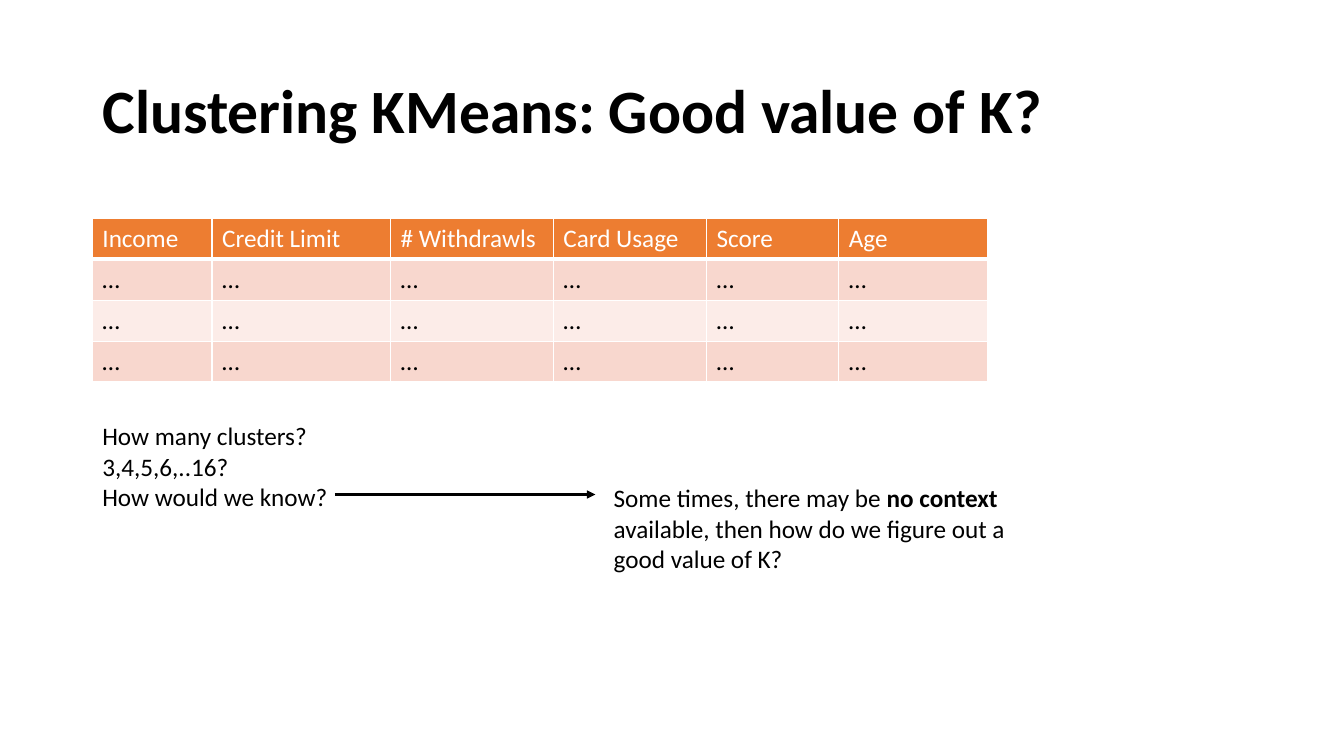
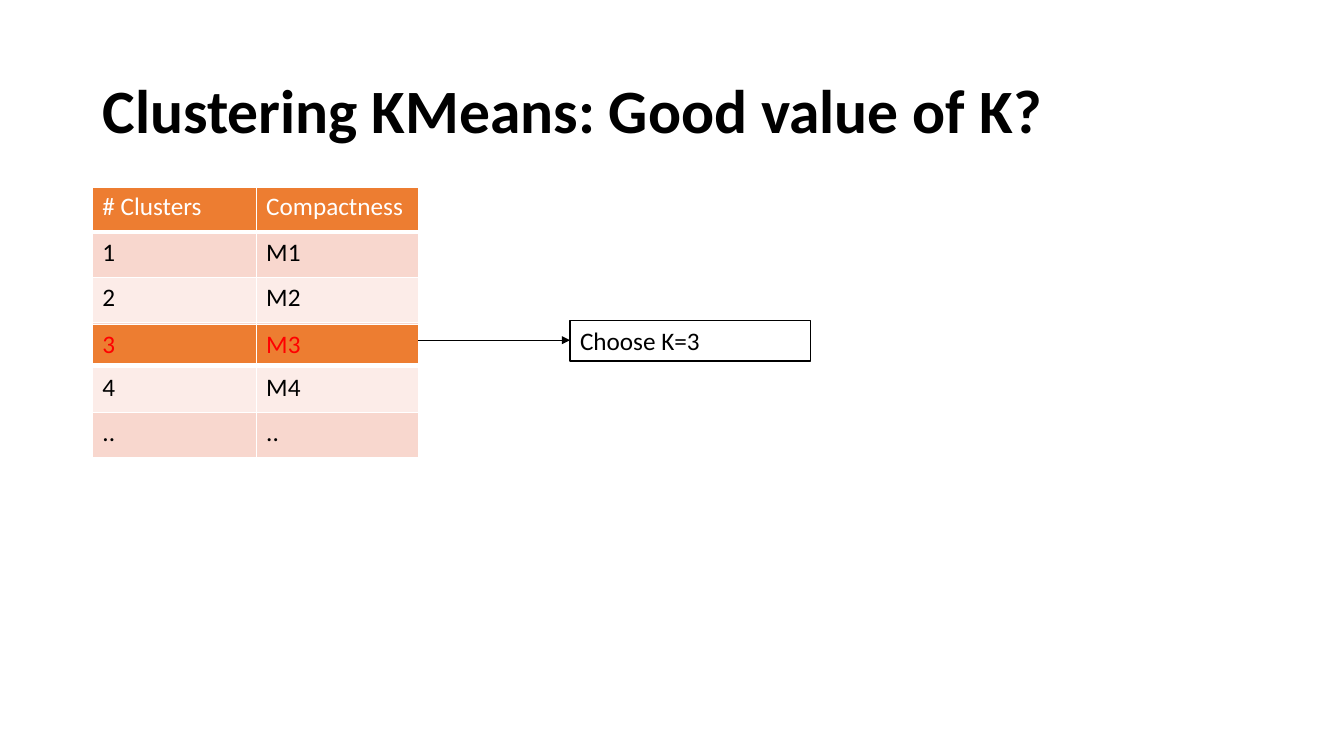
from lxml.etree import SubElement
from pptx import Presentation
from pptx.dml.color import RGBColor
from pptx.enum.shapes import MSO_CONNECTOR, MSO_SHAPE
from pptx.enum.text import MSO_ANCHOR, MSO_AUTO_SIZE, PP_ALIGN
from pptx.oxml import parse_xml
from pptx.oxml.ns import nsdecls, qn
from pptx.util import Emu, Pt

EMU_PER_PX = 9525
TITLE_ONLY = 5
FONT = "Calibri"
TITLE = "Clustering KMeans: Good value of K?"
LEFT = 88
COLORS = {
    "text": "000000",
    "paper": "FFFFFF",
    "accent": "ED7D31",
    "band_dark": "F8D7CE",
    "band_light": "FCECE8",
    "highlight": "FF0000",
}


def px(*lengths):
    """Turn pixel lengths into a list of EMU lengths."""
    return [Emu(length * EMU_PER_PX) for length in lengths]


def rgb(name):
    """Look up a named colour."""
    return RGBColor.from_string(COLORS[name])


def write(frame, text, size=18, color="text", bold=False, line_spacing=None):
    """Fill a frame, one paragraph per line; ** toggles bold."""
    frame.word_wrap = True
    for index, line in enumerate(text.split("\n")):
        para = frame.add_paragraph() if index else frame.paragraphs[0]
        para.alignment = PP_ALIGN.LEFT
        if line_spacing:
            para.line_spacing = line_spacing
        for position, part in enumerate(line.split("**")):
            span = para.add_run()
            span.text = part
            span.font.name = FONT
            span.font.size = Pt(size)
            span.font.bold = bold or position % 2 == 1
            span.font.color.rgb = rgb(color)


def set_borders(cell, bottom_width):
    """Draw white borders around a cell, 1 pt except at the bottom."""
    properties = cell._tc.get_or_add_tcPr()
    widths = {"lnL": 1, "lnR": 1, "lnT": 1, "lnB": bottom_width}
    for index, (side, width) in enumerate(widths.items()):
        properties.insert(index, parse_xml(
            f'<a:{side} {nsdecls("a")} w="{Pt(width)}"><a:solidFill>'
            f'<a:srgbClr val="{COLORS["paper"]}"/></a:solidFill></a:{side}>'))


class SlideBuilder:
    """Hold the deck style and the current slide."""

    def __init__(self):
        """Start an empty widescreen deck."""
        self.deck = Presentation()
        self.deck.slide_width, self.deck.slide_height = px(1280, 720)
        self.page = None

    def new_page(self, title):
        """Add a slide with the shared title style."""
        self.page = self.deck.slides.add_slide(self.deck.slide_layouts[TITLE_ONLY])
        box = self.page.shapes.title
        box.left, box.top, box.width, box.height = px(LEFT, 39, 1104, 139)
        box.text_frame.auto_size = MSO_AUTO_SIZE.NONE
        box.text_frame.vertical_anchor = MSO_ANCHOR.MIDDLE
        write(box.text_frame, title, size=44, bold=True, line_spacing=0.9)

    def table(self, top, widths, row_height, rows, header_color="paper"):
        """Add a table with an accent header row and banded rows below."""
        area = px(LEFT, top, sum(widths), row_height * len(rows))
        table = self.page.shapes.add_table(len(rows), len(widths), *area).table
        table.horz_banding = False
        for column, width in zip(table.columns, px(*widths)):
            column.width = width
        for index, values in enumerate(rows):
            is_header = index == 0
            band = "band_dark" if index % 2 else "band_light"
            for column, value in enumerate(values):
                cell = table.cell(index, column)
                cell.fill.solid()
                cell.fill.fore_color.rgb = rgb("accent" if is_header else band)
                set_borders(cell, bottom_width=3 if is_header else 1)
                write(cell.text_frame, value, color=header_color if is_header else "text")

    def text(self, left, top, width, height, text):
        """Add a plain text box."""
        box = self.page.shapes.add_textbox(*px(left, top, width, height))
        write(box.text_frame, text)
        box.text_frame.auto_size = MSO_AUTO_SIZE.SHAPE_TO_FIT_TEXT

    def callout(self, left, top, width, height, text):
        """Add an outlined rectangle with text."""
        box = self.page.shapes.add_shape(MSO_SHAPE.RECTANGLE, *px(left, top, width, height))
        box.shadow.inherit = False
        box.fill.solid()
        box.fill.fore_color.rgb = rgb("paper")
        box.line.color.rgb = rgb("text")
        box.line.width = Pt(1)
        box.text_frame.vertical_anchor = MSO_ANCHOR.TOP
        write(box.text_frame, text)

    def arrow(self, start, end, y, width):
        """Add a horizontal arrow."""
        line = self.page.shapes.add_connector(MSO_CONNECTOR.STRAIGHT, *px(start, y, end, y))
        line.line.color.rgb = rgb("text")
        line.line.width = Pt(width)
        SubElement(line.line._get_or_add_ln(), qn("a:tailEnd"), type="triangle")
        SubElement(line._element.spPr, qn("a:effectLst"))


def main():
    """Build and save the deck."""
    builder = SlideBuilder()

    builder.new_page(TITLE)
    fields = ["Income", "Credit Limit", "# Withdrawls", "Card Usage", "Score", "Age"]
    builder.table(208, [114, 170, 155, 146, 126, 142], 39,
                  [fields] + [["…"] * len(fields)] * 3)
    builder.text(LEFT, 396, 372, 97,
                 "How many clusters?\n3,4,5,6,..16?\nHow would we know?")
    builder.arrow(319, 567, 471, width=1.5)
    builder.text(575, 455, 405, 97,
                 "Some times, there may be **no context **available, "
                 "then how do we figure out a good value of K?")

    builder.new_page(TITLE)
    scores = [[str(count), f"M{count}"] for count in range(1, 5)]
    widths = [156, 155]
    builder.table(178, widths, 43,
                  [["# Clusters", "Compactness"], *scores, ["..", ".."]])
    builder.table(309, widths, 38, [scores[2]], header_color="highlight")
    builder.arrow(398, 543, 324, width=0.5)
    builder.callout(543, 305, 229, 39, "Choose K=3")

    builder.deck.save("out.pptx")


if __name__ == "__main__":
    main()
